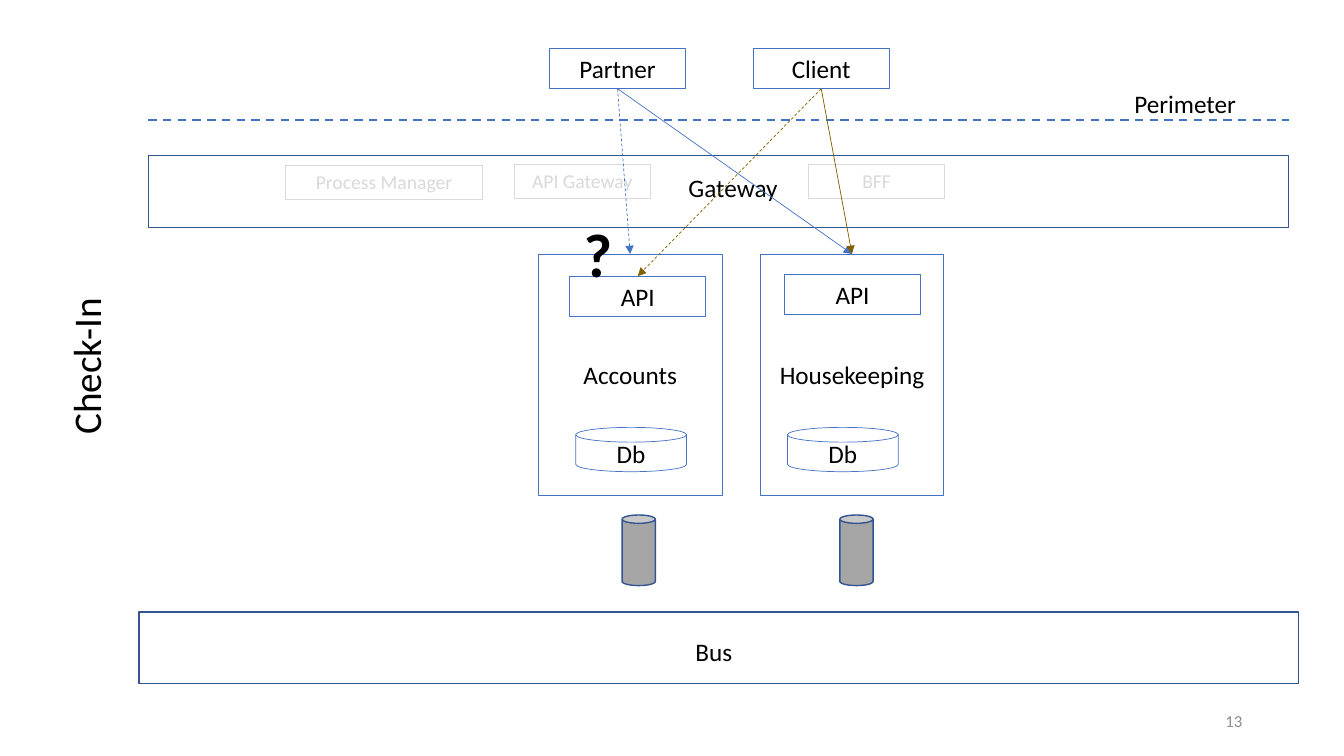
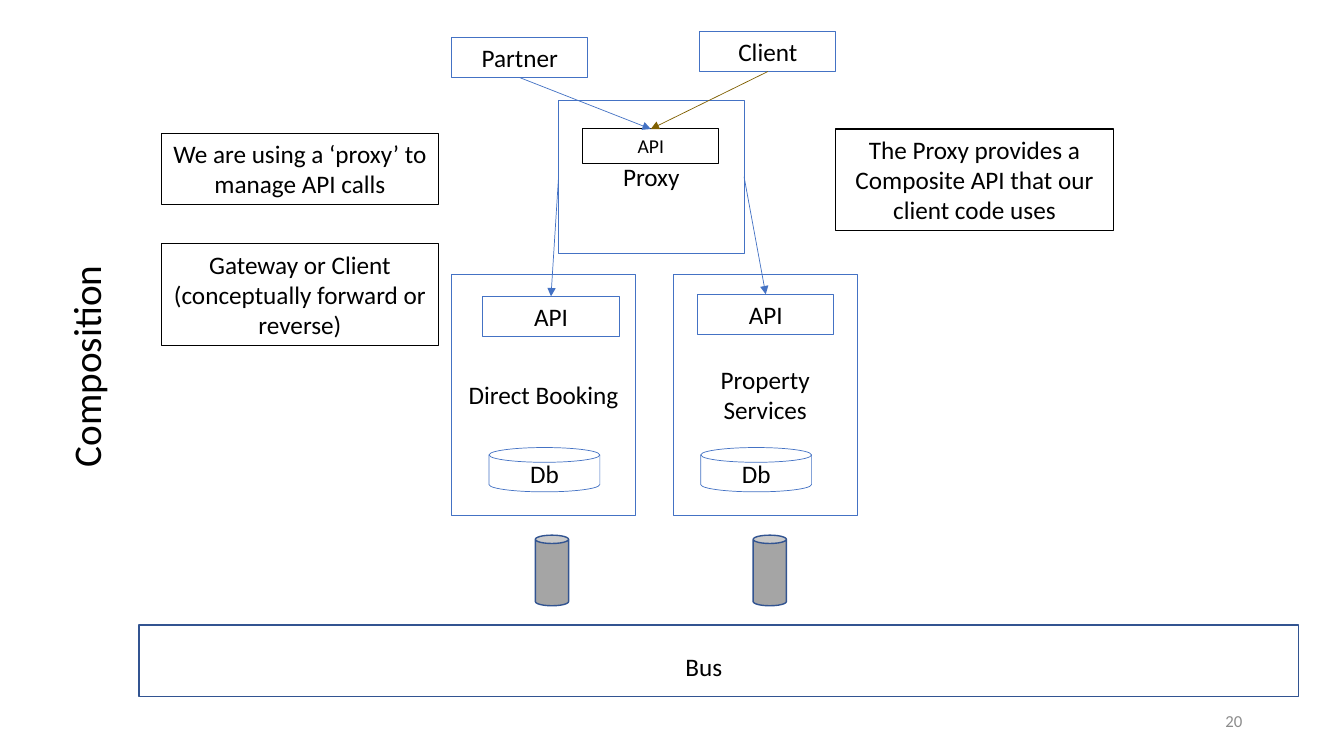
"""Build two service architecture diagrams: check-in and composition."""
from lxml.etree import SubElement
from pptx import Presentation
from pptx.dml.color import RGBColor
from pptx.enum.dml import MSO_LINE_DASH_STYLE as Dash
from pptx.enum.shapes import MSO_CONNECTOR as Connector, MSO_SHAPE as Shape
from pptx.enum.text import MSO_ANCHOR as Anchor, MSO_AUTO_SIZE as AutoSize, PP_ALIGN as Align
from pptx.oxml.ns import qn
from pptx.util import Inches, Pt

FONT = "Calibri"
BLACK, GREY, PALE, WHITE = "000000", "8C8C8C", "D9D9D9", "FFFFFF"
BLUE, NAVY, OLIVE, QUEUE_FILL = "4472C4", "325491", "806000", "A5A5A5"
TOP, LEFT, BOTTOM, RIGHT = range(4)
LABEL_WIDTH, LABEL_HEIGHT = 1.35, 0.4


def add_box(slide, at, text="", kind=Shape.RECTANGLE, fill=None, line=BLUE, weight=0.75, size=18,
            color=BLACK, bold=False, align=Align.CENTER, anchor=Anchor.TOP, wrap=True, grow=False):
    position = [Inches(value) for value in at]
    if kind is None:
        shape = slide.shapes.add_textbox(*position)
    else:
        shape = slide.shapes.add_shape(kind, *position)
        shape.shadow.inherit = False
        shape.line.color.rgb = RGBColor.from_string(line)
        shape.line.width = Pt(weight)
        if fill:
            shape.fill.solid()
            shape.fill.fore_color.rgb = RGBColor.from_string(fill)
        else:
            shape.fill.background()
    if text:
        frame = shape.text_frame
        frame.word_wrap = wrap
        frame.vertical_anchor = anchor
        frame.auto_size = AutoSize.SHAPE_TO_FIT_TEXT if grow else AutoSize.NONE
        frame.text = text
        for paragraph in frame.paragraphs:
            paragraph.alignment = align
            font = paragraph.runs[0].font
            font.name, font.size, font.bold = FONT, Pt(size), bold
            font.color.rgb = RGBColor.from_string(color)
    return shape


def add_line(slide, start=None, end=None, ends=(0, 0, 0, 0), color=BLUE, weight=0.5,
             dash=None, arrow=True):
    connector = slide.shapes.add_connector(Connector.STRAIGHT, *[Inches(value) for value in ends])
    if start:
        connector.begin_connect(*start)
    if end:
        connector.end_connect(*end)
    connector.line.color.rgb = RGBColor.from_string(color)
    connector.line.width = Pt(weight)
    if dash:
        connector.line.dash_style = dash
    if arrow:
        SubElement(connector.line._get_or_add_ln(), qn("a:tailEnd"), type="triangle")
    SubElement(connector._element.spPr, qn("a:effectLst"))


presentation = Presentation()
presentation.slide_width, presentation.slide_height = Inches(13.33), Inches(7.5)

diagrams = [
    dict(title="Check-In", number="13", services=("Accounts", "Housekeeping"), origin=(5.34, 2.52),
         partner=(5.45, 0.48), client=(7.47, 0.48), bus_top=6.07, bus_label=(6.8, 6.26)),
    dict(title="Composition", number="20", services=("Direct Booking", "Property Services"),
         origin=(4.48, 2.72), partner=(4.48, 0.37), client=(6.94, 0.31),
         bus_top=6.2, bus_label=(6.7, 6.41)),
]
service_columns = [
    dict(left=0, api=(0.31, 0.22), database=0.37, queue=0.83),
    dict(left=2.2, api=(0.24, 0.2), database=0.27, queue=0.79),
]

built = []
for diagram in diagrams:
    slide = presentation.slides.add_slide(presentation.slide_layouts[6])
    add_box(slide, (-1.19, 3.35, 4.08, 0.57), diagram["title"], kind=None, size=28,
            grow=True).rotation = 270
    add_box(slide, (9.42, 6.95, 3, 0.4), diagram["number"], kind=None, size=12, color=GREY,
            align=Align.RIGHT, anchor=Anchor.MIDDLE)
    add_box(slide, (1.38, diagram["bus_top"], 11.5, 0.71), line=NAVY, weight=1)
    add_box(slide, (*diagram["bus_label"], 0.57, 0.4), "Bus", kind=None, align=Align.LEFT,
            wrap=False, grow=True)
    parts = {"slide": slide, "services": [], "apis": []}
    for caller in ("Partner", "Client"):
        parts[caller] = add_box(slide, (*diagram[caller.lower()], LABEL_WIDTH, LABEL_HEIGHT),
                                caller, grow=True)
    origin_left, top = diagram["origin"]
    for name, column in zip(diagram["services"], service_columns):
        left = origin_left + column["left"]
        api_left, api_top = column["api"]
        parts["services"].append(add_box(slide, (left, top, 1.82, 2.39), name, weight=0.5,
                                         anchor=Anchor.MIDDLE))
        parts["apis"].append(add_box(slide, (left + api_left, top + api_top, LABEL_WIDTH,
                                             LABEL_HEIGHT), "API", grow=True))
        add_box(slide, (left + column["database"], top + 1.72, 1.1, 0.44), "Db",
                kind=Shape.FLOWCHART_MAGNETIC_DISK, weight=0.5, anchor=Anchor.MIDDLE)
        add_box(slide, (left + column["queue"], top + 2.59, 0.33, 0.7), kind=Shape.CAN,
                fill=QUEUE_FILL, line=NAVY, weight=1)
    built.append(parts)

check_in, composition = built

slide = check_in["slide"]
add_box(slide, (1.47, 1.54, 11.31, 0.72), line=NAVY, weight=1)
add_box(slide, (6.73, 1.66, 1.09, 0.4), "Gateway", kind=None, align=Align.LEFT, wrap=False,
        grow=True)
add_line(slide, ends=(1.47, 1.19, 12.78, 1.19), weight=1.5, dash=Dash.DASH, arrow=False)
add_box(slide, (10.98, 0.83, 1.55, 0.4), "Perimeter", kind=None, grow=True)
for role, left, top, width in [("Process Manager", 2.83, 1.64, 1.96),
                               ("API Gateway", 5.1, 1.63, LABEL_WIDTH),
                               ("BFF", 8.02, 1.63, LABEL_WIDTH)]:
    add_box(slide, (left, top, width, 0.34), role, line=PALE, size=14, color=PALE, grow=True)
accounts, housekeeping = check_in["services"]
for caller, target, color, dash in [("Partner", housekeeping, BLUE, None),
                                    ("Client", housekeeping, OLIVE, None),
                                    ("Client", check_in["apis"][0], OLIVE, Dash.DASH),
                                    ("Partner", accounts, BLUE, Dash.DASH)]:
    add_line(slide, (check_in[caller], BOTTOM), (target, TOP), color=color, dash=dash)
add_box(slide, (5.69, 2.09, 0.4, 0.84), "?", kind=None, size=44, bold=True, align=Align.LEFT,
        grow=True)

slide = composition["slide"]
for note, left, top, height in [
        ("We are using a ‘proxy’ to manage API calls", 1.6, 1.32, 0.71),
        ("Gateway or Client\n(conceptually forward or reverse)", 1.6, 2.42, 1.01),
        ("The Proxy provides a Composite API that our client code uses", 8.29, 1.28, 1.01)]:
    add_box(slide, (left, top, 2.75, height), note, line=BLACK, grow=True)
proxy = add_box(slide, (5.54, 1, 1.84, 1.51), "Proxy", fill=WHITE, weight=0.5,
                anchor=Anchor.MIDDLE)
proxy_api = add_box(slide, (5.78, 1.28, LABEL_WIDTH, 0.34), "API", line=BLACK, size=14, grow=True)
for side, api in zip((LEFT, RIGHT), composition["apis"]):
    add_line(slide, (proxy, side), (api, TOP))
for caller, color in [("Partner", BLUE), ("Client", OLIVE)]:
    add_line(slide, (composition[caller], BOTTOM), (proxy_api, TOP), color=color)

presentation.save("out.pptx")
